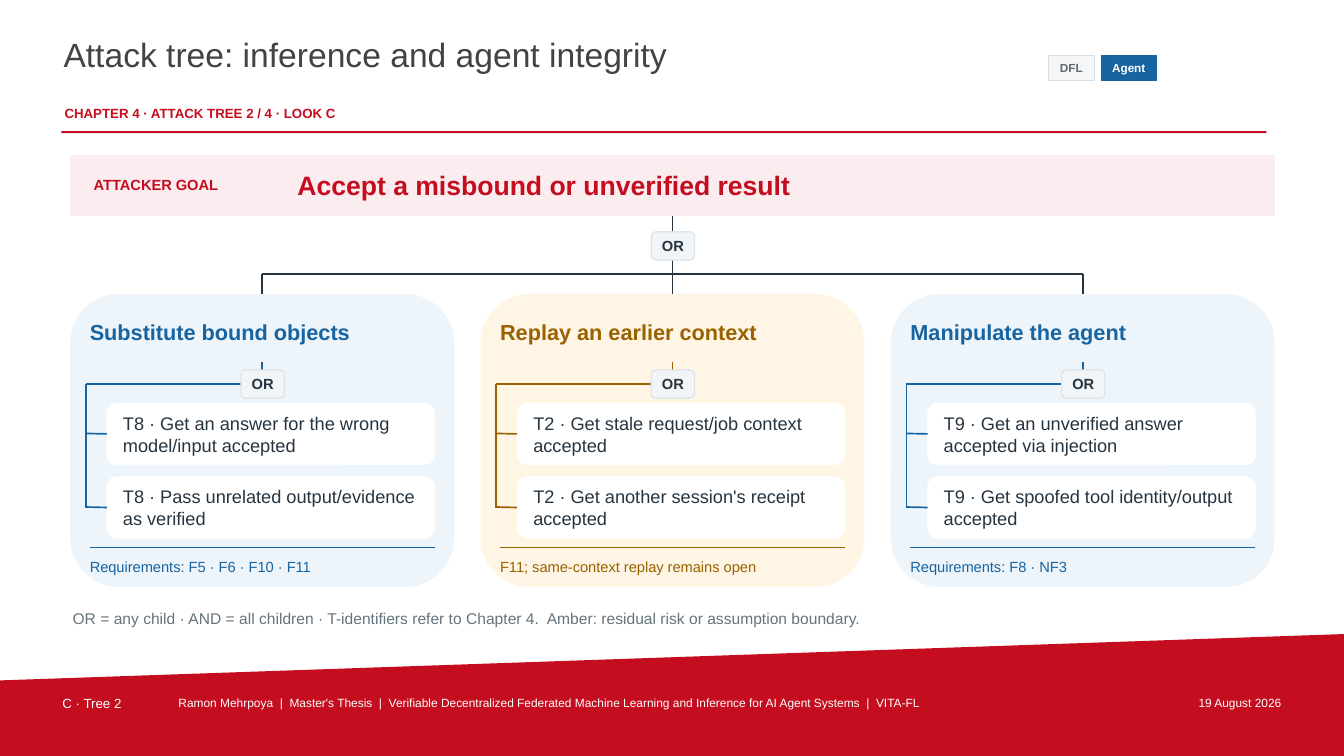
import pptx
import pptx.util
import pptx.dml.color
import pptx.enum.shapes
import pptx.enum.text
import pptx.oxml
import pptx.oxml.ns

PX = 9144  # 100 px to the inch
WIDE, HIGH = 1333, 750
HUES = {
    "red": "C40D1E", "rose": "FBECEF", "white": "FFFFFF", "title": "434343",
    "ink": "263440", "grey": "65737D", "blue": "1764A1", "sky": "EDF4FA",
    "amber": "9A6100", "cream": "FFF5E5", "gate": "F2F5F7", "rim": "DCE3E8",
    "chip": "F5F6F7", "edge": "D7DEE3", "slate": "5D6973",
}
KIND = pptx.enum.shapes.MSO_SHAPE
ALIGN = pptx.enum.text.PP_ALIGN
TOP = pptx.enum.text.MSO_ANCHOR.TOP
MID = pptx.enum.text.MSO_ANCHOR.MIDDLE


def hue(name):
    return pptx.dml.color.RGBColor.from_string(HUES[name])


def write(shape, text, size=10.5, color="ink", bold=False, align=ALIGN.LEFT,
          anchor=MID, pad=0):
    frame = shape.text_frame
    frame.word_wrap = True
    frame.auto_size = pptx.enum.text.MSO_AUTO_SIZE.NONE
    frame.vertical_anchor = anchor
    frame.margin_left = frame.margin_right = pad * PX
    frame.margin_top = frame.margin_bottom = min(pad, 5) * PX
    frame.text = text
    para = frame.paragraphs[0]
    para.alignment = align
    font = para.runs[0].font
    font.name, font.size, font.bold = "Arial", pptx.util.Pt(size), bold
    font.color.rgb = hue(color)


class Deck:
    font = {"pad": 2, "anchor": TOP}  # style of the header and footer texts

    def __init__(self):
        self.file = pptx.Presentation()
        self.file.slide_width = WIDE * PX
        self.file.slide_height = HIGH * PX
        self.slide = self.file.slides.add_slide(self.file.slide_layouts[5])
        self.shapes = self.slide.shapes

    def title(self, text, x, y, w, h, **fmt):
        head = self.shapes.title
        head.left, head.top, head.width, head.height = (v * PX for v in (x, y, w, h))
        write(head, text, **fmt)

    def label(self, text, x, y, w, h, **fmt):
        write(self.shapes.add_textbox(x * PX, y * PX, w * PX, h * PX), text, **fmt)

    def paint(self, shape, fill, rim=None, width=0.5):
        shape.shadow.inherit = False
        shape.fill.solid()
        shape.fill.fore_color.rgb = hue(fill)
        if rim:
            shape.line.color.rgb = hue(rim)
            shape.line.width = pptx.util.Pt(width)
        else:
            shape.line.fill.background()

    def box(self, x, y, w, h, fill, rim=None, width=0.5, kind=KIND.RECTANGLE):
        shape = self.shapes.add_shape(kind, x * PX, y * PX, w * PX, h * PX)
        self.paint(shape, fill, rim, width)
        return shape

    def round(self, *args, **style):
        return self.box(*args, kind=KIND.ROUNDED_RECTANGLE, **style)

    def outline(self, points, fill):
        first, *rest = points
        pen = self.shapes.build_freeform(*first, scale=PX)
        pen.add_line_segments(rest, close=True)
        self.paint(pen.convert_to_shape(), fill)

    def line(self, x1, y1, x2, y2, color, width, start=None, end=None):
        link = self.shapes.add_connector(
            pptx.enum.shapes.MSO_CONNECTOR.STRAIGHT, x1 * PX, y1 * PX, x2 * PX, y2 * PX)
        link.line.color.rgb = hue(color)
        link.line.width = pptx.util.Pt(width)
        if start:
            link.begin_connect(*start)
        if end:
            link.end_connect(*end)
        link._element.spPr.append(
            pptx.oxml.parse_xml("<a:effectLst %s/>" % pptx.oxml.ns.nsdecls("a")))

    def gate(self, mid, y):
        chip = self.round(mid - 21, y, 43, 28, "gate", rim="rim", width=0.85)
        write(chip, "OR", bold=True, align=ALIGN.CENTER)

    def card(self, x, name, leaves, note, color, fill):
        mid, inner, rail = x + 190, x + 19, x + 15
        card = self.round(x, 292, 380, 290, fill, rim=fill)
        self.label(name, inner, 303, 342, 53, size=15.5, color=color, bold=True)
        # Branch from the heading to the leaves
        self.line(mid, 359, mid, 381, color, 1.2)
        self.line(mid, 381, rail, 381, color, 1.2)
        self.line(rail, 381, rail, 504, color, 1.2)
        for row, text in enumerate(leaves):
            y = 400 + 73 * row
            leaf = self.round(x + 36, y, 325, 61, "white", rim="white")
            write(leaf, text, size=13, pad=13)
            self.line(rail, y + 30, x + 36, y + 30, color, 1.2, end=(leaf, 1))
        self.gate(mid, 367)
        # Note under the leaves
        self.line(inner, 543, x + 361, 543, color, 0.6)
        self.label(note, inner, 549, 342, 27, color=color)
        return card


CARDS = [
    ("Substitute bound objects",
     ("T8 · Get an answer for the wrong model/input accepted",
      "T8 · Pass unrelated output/evidence as verified"),
     "Requirements: F5 · F6 · F10 · F11", "blue", "sky"),
    ("Replay an earlier context",
     ("T2 · Get stale request/job context accepted",
      "T2 · Get another session's receipt accepted"),
     "F11; same-context replay remains open", "amber", "cream"),
    ("Manipulate the agent",
     ("T9 · Get an unverified answer accepted via injection",
      "T9 · Get spoofed tool identity/output accepted"),
     "Requirements: F8 · NF3", "blue", "sky"),
]
CHIPS = [("DFL", 1040, 45, "chip", "edge", "slate"),
         ("Agent", 1092, 55, "blue", "blue", "white")]
FOOT = [
    ("C · Tree 2", 60, 110, 9.5, ALIGN.LEFT),
    ("Ramon Mehrpoya  |  Master's Thesis  |  Verifiable Decentralized Federated "
     "Machine Learning and Inference for AI Agent Systems  |  VITA-FL",
     175, 935, 8.5, ALIGN.LEFT),
    ("19 August 2026", 1120, 153, 8.5, ALIGN.RIGHT),
]


def main():
    deck = Deck()

    # Header
    deck.title("Attack tree: inference and agent integrity", 61, 32, 965, 62,
               size=24, color="title", **deck.font)
    deck.label("CHAPTER 4 · ATTACK TREE 2 / 4 · LOOK C", 62, 102, 970, 22,
               size=9.5, color="red", bold=True, **deck.font)
    deck.box(61, 130, 1195, 2, "red")
    for text, x, w, fill, rim, color in CHIPS:
        chip = deck.box(x, 55, w, 25, fill, rim=rim, width=0.55)
        write(chip, text, size=8.4, color=color, bold=True, align=ALIGN.CENTER)

    # Footer
    deck.outline([(0, 675), (WIDE, 629), (WIDE, HIGH), (0, HIGH)], "red")
    for text, x, w, size, align in FOOT:
        deck.label(text, x, 688, w, 22, size=size, color="white", align=align,
                   **deck.font)

    # Goal
    goal = deck.box(70, 154, 1194, 60, "rose", rim="rose")
    deck.label("ATTACKER GOAL", 93, 172, 183, 23, color="red", bold=True)
    deck.label("Accept a misbound or unverified result", 295, 164, 940, 39,
               size=19, color="red", bold=True)

    # Cards and the tree above them
    bus, step = 272, 407
    deck.line(667, 214, 667, bus, "ink", 1.3, start=(goal, 2))
    deck.line(260, bus, 260 + 2 * step, bus, "ink", 1.3)
    for col, parts in enumerate(CARDS):
        x = 70 + step * col
        card = deck.card(x, *parts)
        deck.line(x + 190, bus, x + 190, 292, "ink", 1.3, end=(card, 0))
    deck.gate(667, 230)

    # Legend
    deck.label("OR = any child · AND = all children · T-identifiers refer to "
               "Chapter 4.  Amber: residual risk or assumption boundary.",
               72, 600, 1190, 27, size=11.1, color="grey")

    deck.file.save("out.pptx")


if __name__ == "__main__":
    main()
